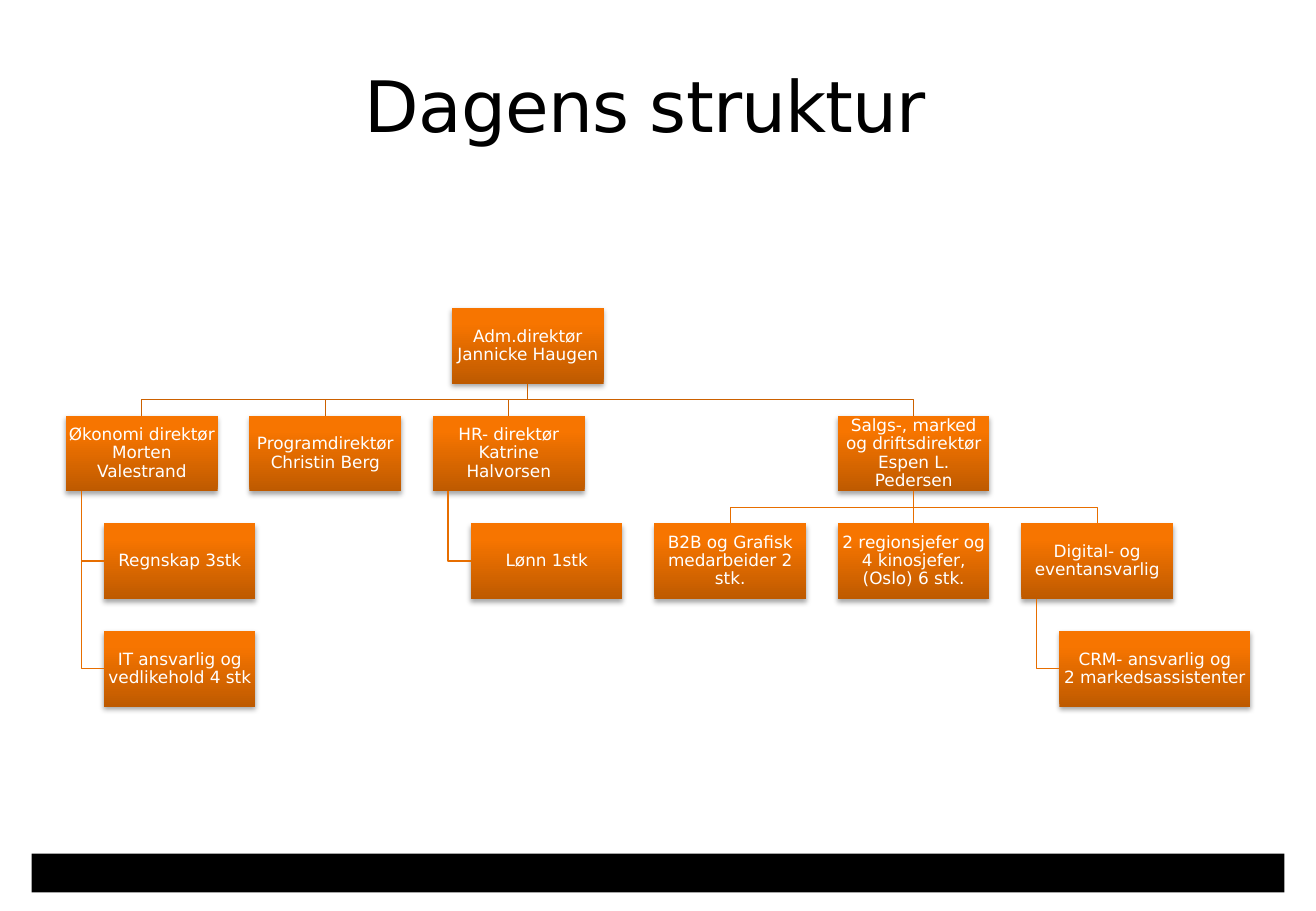
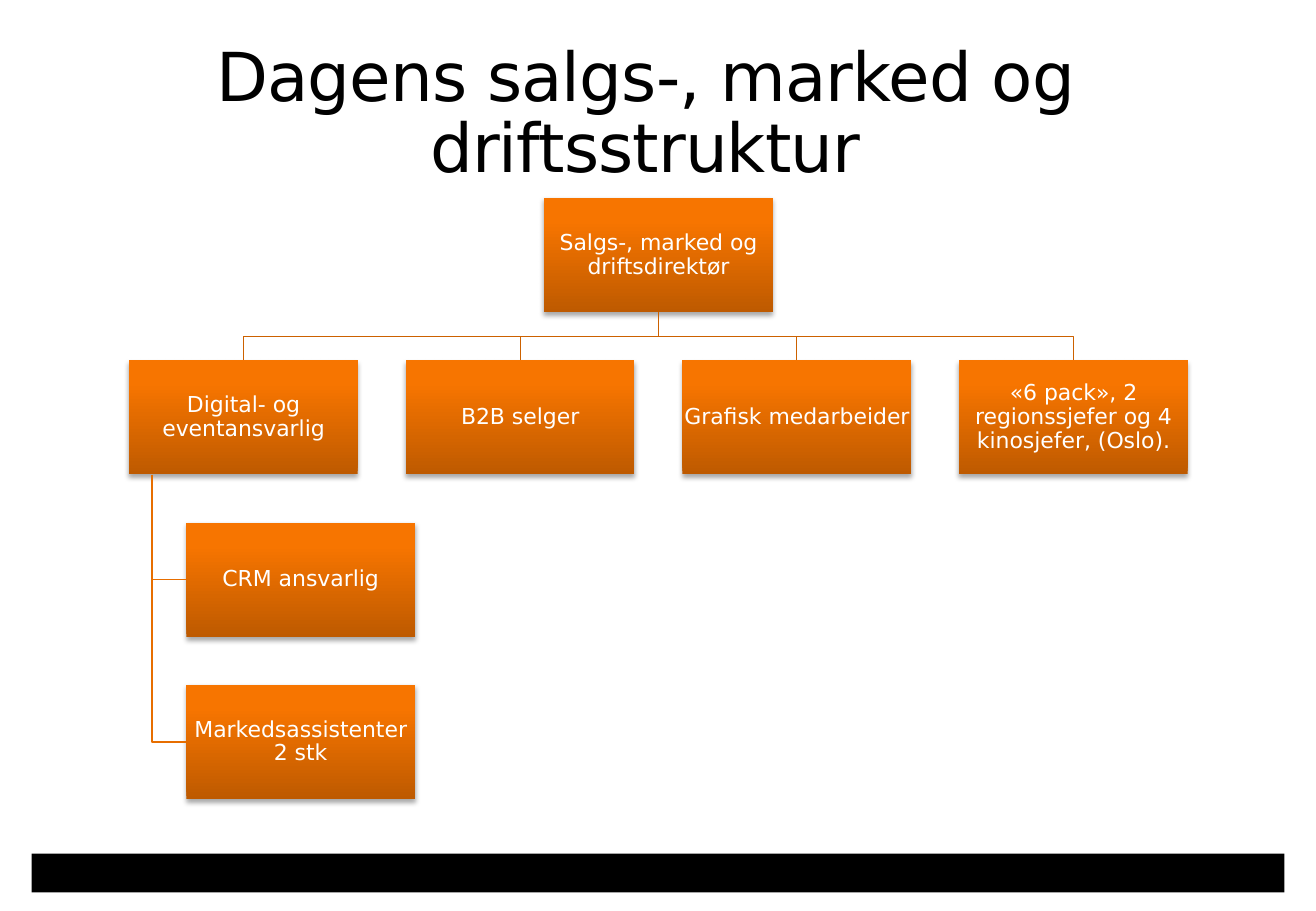
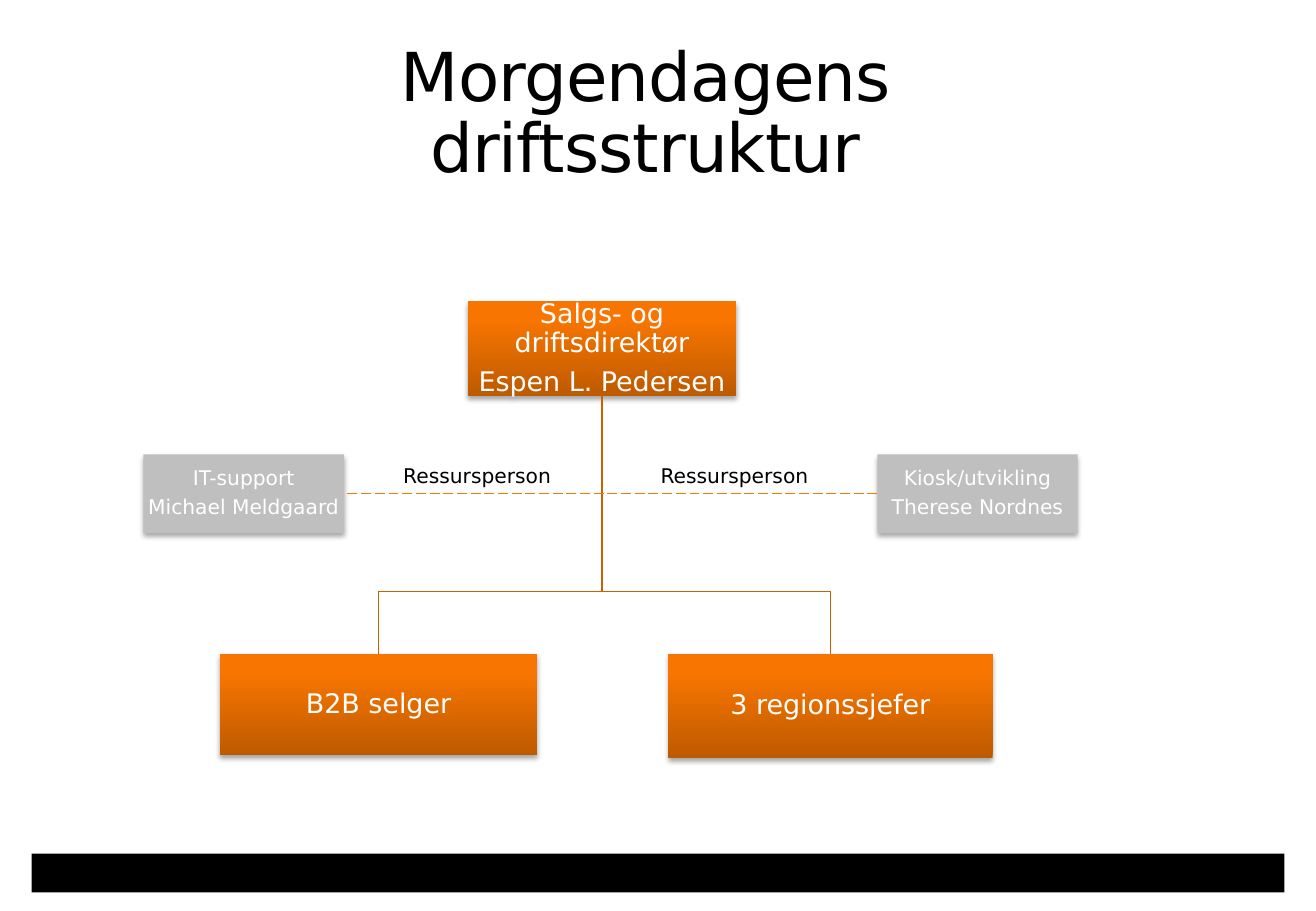
"""Builds three organisation chart slides."""
from copy import deepcopy

from lxml.etree import SubElement
from pptx import Presentation
from pptx.dml.color import RGBColor
from pptx.enum.dml import MSO_LINE
from pptx.enum.shapes import MSO_CONNECTOR, MSO_SHAPE
from pptx.enum.text import MSO_ANCHOR, PP_ALIGN
from pptx.oxml.ns import qn
from pptx.util import Cm, Pt

FONT = "DejaVu Sans"
COLORS = {
    "black": "000000", "white": "FFFFFF", "grey": "BFBFBF",
    "dark": "BE5A00", "mid": "F77500", "light": "F87600",
    "line_top": "CC6100", "line_sub": "E76E00", "dash": "F97600",
}
GRADIENT = [(0, "dark"), (80, "mid"), (100, "light")]

GAP, INDENT, STEM = 0.21, 0.25, 0.1

# Each node: key, text, column, indents, row, parent, side of the parent link, width factor
CHARTS = [
    {
        "title": "Dagens struktur", "title_top": 1.57, "title_size": 42,
        "left": 1.38, "top": 6.44, "width": 3.17, "size": 10,
        "nodes": [
            ("adm", "Adm.direktør Jannicke Haugen", 2, 0.5, 0, None, None, 1),
            ("okonomi", "Økonomi direktør Morten Valestrand", 0, 0, 1, "adm", "down", 1),
            ("regnskap", "Regnskap 3stk", 0, 1, 2, "okonomi", "side", 1),
            ("it", "IT ansvarlig og vedlikehold 4 stk", 0, 1, 3, "okonomi", "side", 1),
            ("program", "Programdirektør Christin Berg", 1, 0, 1, "adm", "down", 1),
            ("hr", "HR- direktør Katrine Halvorsen", 2, 0, 1, "adm", "down", 1),
            ("lonn", "Lønn 1stk", 2, 1, 2, "hr", "side", 1),
            ("salg", "Salgs-, marked og driftsdirektør Espen L. Pedersen", 4, 1, 1, "adm", "down", 1),
            ("b2b", "B2B og Grafisk medarbeider 2 stk.", 3, 1, 2, "salg", "down", 1),
            ("region", "2 regionsjefer og 4 kinosjefer, (Oslo) 6 stk.", 4, 1, 2, "salg", "down", 1),
            ("digital", "Digital- og eventansvarlig", 5, 1, 2, "salg", "down", 1),
            ("crm", "CRM- ansvarlig og\v2 markedsassistenter", 5, 2, 3, "digital", "side", 1.26),
        ],
    },
    {
        "title": "Dagens salgs-, marked og driftsstruktur", "title_top": 0.91, "title_size": 40,
        "left": 2.7, "top": 4.14, "width": 4.78, "size": 13,
        "nodes": [
            ("salg", "Salgs-, marked og driftsdirektør", 1.5, 0, 0, None, None, 1),
            ("digital", "Digital- og eventansvarlig", 0, 0, 1, "salg", "down", 1),
            ("crm", "CRM ansvarlig", 0, 1, 2, "digital", "side", 1),
            ("marked", "Markedsassistenter 2 stk", 0, 1, 3, "digital", "side", 1),
            ("b2b", "B2B selger", 1, 0, 1, "salg", "down", 1),
            ("grafisk", "Grafisk medarbeider", 2, 0, 1, "salg", "down", 1),
            ("region", "«6 pack», 2 regionssjefer og 4 kinosjefer, (Oslo).", 3, 0, 1, "salg", "down", 1),
        ],
    },
]

FUTURE_TITLE = "Morgendagens driftsstruktur"
FUTURE_BOXES = [
    ("salg", "Salgs- og driftsdirektør\nEspen L. Pedersen", (9.78, 6.3, 5.61, 1.98), 16, None),
    ("b2b", "B2B selger", (4.6, 13.67, 6.63, 2.13), 16, None),
    ("region", "3 regionssjefer", (13.97, 13.67, 6.78, 2.18), 16, None),
    ("kiosk", "Kiosk/utvikling\nTherese Nordnes", (18.34, 9.5, 4.19, 1.65), 12, "grey"),
    ("it", "IT-support\nMichael Meldgaard", (3, 9.5, 4.19, 1.65), 12, "grey"),
]
FUTURE_DROP = 1.3
LABEL, LABEL_LEFTS, LABEL_TOP = "Ressursperson", (8.18, 13.56), 9.55


def rgb(name):
    return RGBColor.from_string(COLORS[name])


def cms(*values):
    return [Cm(v) for v in values]


def write(sp, text, size, color="white", align=PP_ALIGN.CENTER, anchor=MSO_ANCHOR.MIDDLE,
          inset=(0.02, 0.02), wrap=True, spacing=0.9, after=0.35, tracking=None):
    tf = sp.text_frame
    tf.word_wrap, tf.vertical_anchor = wrap, anchor
    tf.margin_left = tf.margin_right = Cm(inset[0])
    tf.margin_top = tf.margin_bottom = Cm(inset[1])
    for i, line in enumerate(text.split("\n")):
        p = tf.add_paragraph() if i else tf.paragraphs[0]
        p.text, p.alignment, p.line_spacing = line, align, spacing
        p.space_after = Pt(after * size)
        for r in p.runs:
            r.font.size, r.font.name, r.font.color.rgb = Pt(size), FONT, rgb(color)
            if tracking:
                r._r.get_or_add_rPr().set("spc", str(tracking))
        for br in p._p.findall(qn("a:br")):
            br.append(deepcopy(p.runs[0]._r.rPr))


def fill_gradient(sp):
    grad = SubElement(sp._element.spPr, qn("a:gradFill"), rotWithShape="1")
    stops = SubElement(grad, qn("a:gsLst"))
    for pos, name in GRADIENT:
        gs = SubElement(stops, qn("a:gs"), pos=str(pos * 1000))
        SubElement(gs, qn("a:srgbClr"), val=COLORS[name])
    SubElement(grad, qn("a:lin"), ang="16200000", scaled="0")


def add_shadow(sp):
    effects = sp._element.spPr.find(qn("a:effectLst"))
    shadow = SubElement(effects, qn("a:outerShdw"), blurRad=str(Pt(3.1)), dist=str(Pt(1.8)),
                        dir="5400000", rotWithShape="0")
    color = SubElement(shadow, qn("a:srgbClr"), val=COLORS["black"])
    SubElement(color, qn("a:alpha"), val="35000")


def add_rect(s, at, fill=None):
    sp = s.shapes.add_shape(MSO_SHAPE.RECTANGLE, *cms(*at))
    if fill:
        sp.fill.solid()
        sp.fill.fore_color.rgb = rgb(fill)
    else:
        fill_gradient(sp)
    sp.line.fill.background()
    sp.shadow.inherit = False
    return sp


def add_box(s, text, at, size, fill=None):
    sp = add_rect(s, at, fill)
    add_shadow(sp)
    write(sp, text, size)
    return sp


def add_straight(s, start, start_site, end, end_site, color):
    line = s.shapes.add_connector(MSO_CONNECTOR.STRAIGHT, 0, 0, 0, 0)
    line.begin_connect(start, start_site)
    line.end_connect(end, end_site)
    line.line.color.rgb, line.line.width = rgb(color), Pt(0.75)
    SubElement(line._element.spPr, qn("a:effectLst"))
    return line


def add_polyline(s, points, color):
    builder = s.shapes.build_freeform(*points[0], scale=1.0)
    builder.add_line_segments(points[1:], close=False)
    sp = builder.convert_to_shape()
    sp.fill.background()
    sp.line.color.rgb, sp.line.width = rgb(color), Pt(0.75)
    sp.shadow.inherit = False


def link_down(s, parent, child, drop, color):
    x1, x2 = (sp.left + sp.width // 2 for sp in (parent, child))
    if abs(x1 - x2) < Pt(1):
        add_straight(s, parent, 2, child, 0, color)
        return
    bend = child.top - Cm(drop)
    add_polyline(s, [(x1, parent.top + parent.height), (x1, bend), (x2, bend), (x2, child.top)], color)


def link_side(s, parent, child, color):
    x, y = parent.left + int(parent.width * STEM), child.top + child.height // 2
    add_polyline(s, [(x, parent.top + parent.height), (x, y), (child.left, y)], color)


def add_base(prs, title, top, size):
    s = prs.slides.add_slide(prs.slide_layouts[6])
    add_rect(s, (0.66, 17.85, 26.19, 0.81), "black")
    sp = s.shapes.add_textbox(*cms(3.76, top, 19.46, 3.15))
    write(sp, title, size, color="black", anchor=MSO_ANCHOR.TOP, inset=(0, 0),
          spacing=Pt(42.2), after=0, tracking=-50)
    return s


def add_tree(prs, chart):
    s = add_base(prs, chart["title"], chart["title_top"], chart["title_size"])
    w, boxes = chart["width"], {}
    for key, text, col, indents, row, parent, side, factor in chart["nodes"]:
        left = chart["left"] + w * (col * (1 + GAP) + indents * INDENT)
        top = chart["top"] + w * row * (0.5 + GAP)
        boxes[key] = add_box(s, text, (left, top, w * factor, w / 2), chart["size"])
    for key, text, col, indents, row, parent, side, factor in chart["nodes"]:
        color = "line_top" if row == 1 else "line_sub"
        if side == "down":
            link_down(s, boxes[parent], boxes[key], w * GAP / 2, color)
        elif side == "side":
            link_side(s, boxes[parent], boxes[key], color)


def add_future(prs):
    s = add_base(prs, FUTURE_TITLE, 0.91, 40)
    boxes = {key: add_box(s, text, at, size, fill) for key, text, at, size, fill in FUTURE_BOXES}
    for key in ("region", "b2b"):
        link_down(s, boxes["salg"], boxes[key], FUTURE_DROP, "line_top")
    dashed = add_straight(s, boxes["kiosk"], 1, boxes["it"], 3, "dash")
    dashed.line.dash_style = MSO_LINE.LONG_DASH
    for left in LABEL_LEFTS:
        sp = s.shapes.add_textbox(*cms(left, LABEL_TOP, 3.63, 0.76))
        write(sp, LABEL, 12, color="black", align=PP_ALIGN.LEFT, anchor=MSO_ANCHOR.TOP,
              inset=(0.25, 0.13), wrap=False, spacing=1, after=0)


def main():
    prs = Presentation()
    prs.slide_width, prs.slide_height = cms(27.51, 19.05)
    for chart in CHARTS:
        add_tree(prs, chart)
    add_future(prs)
    prs.save("out.pptx")


if __name__ == "__main__":
    main()
